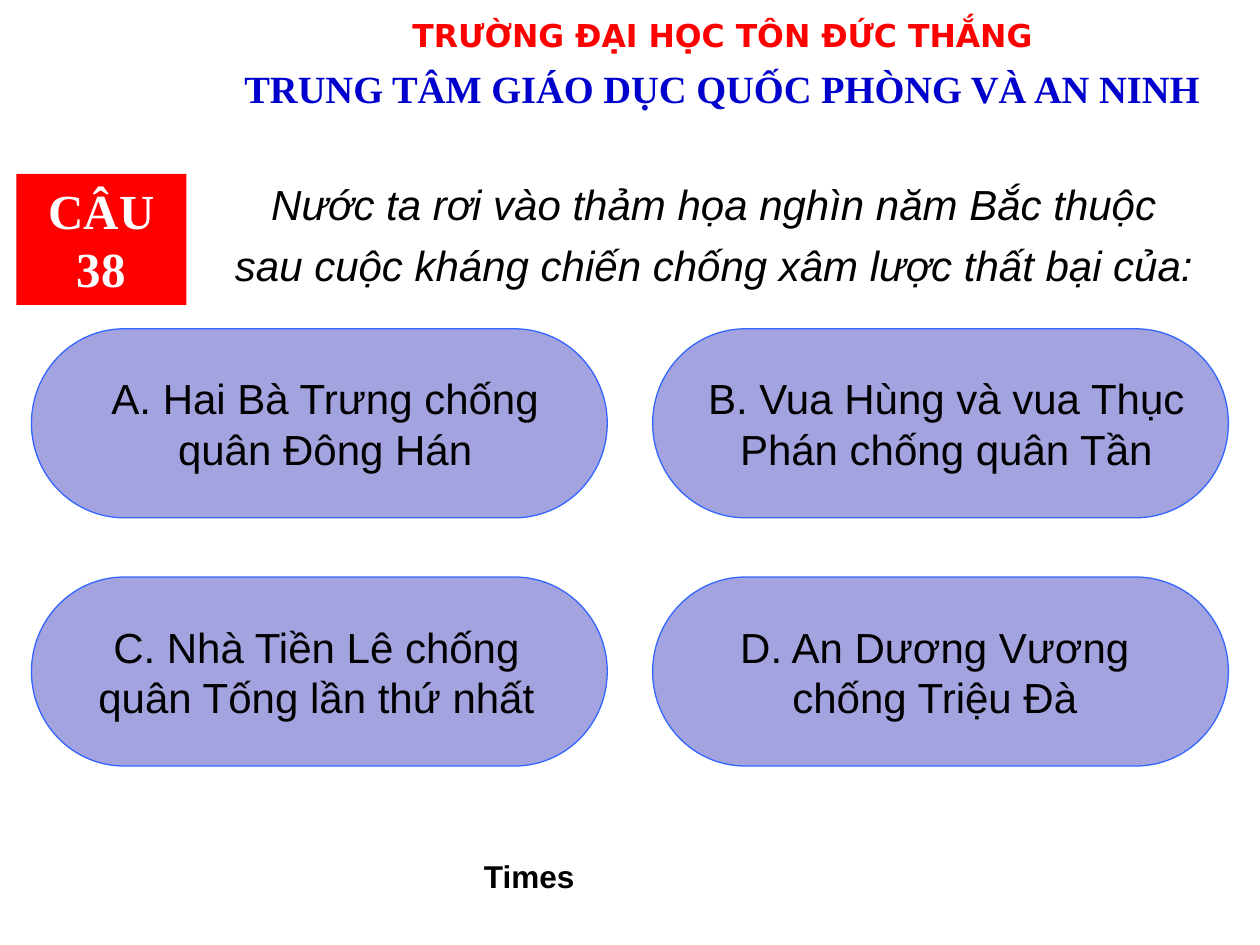
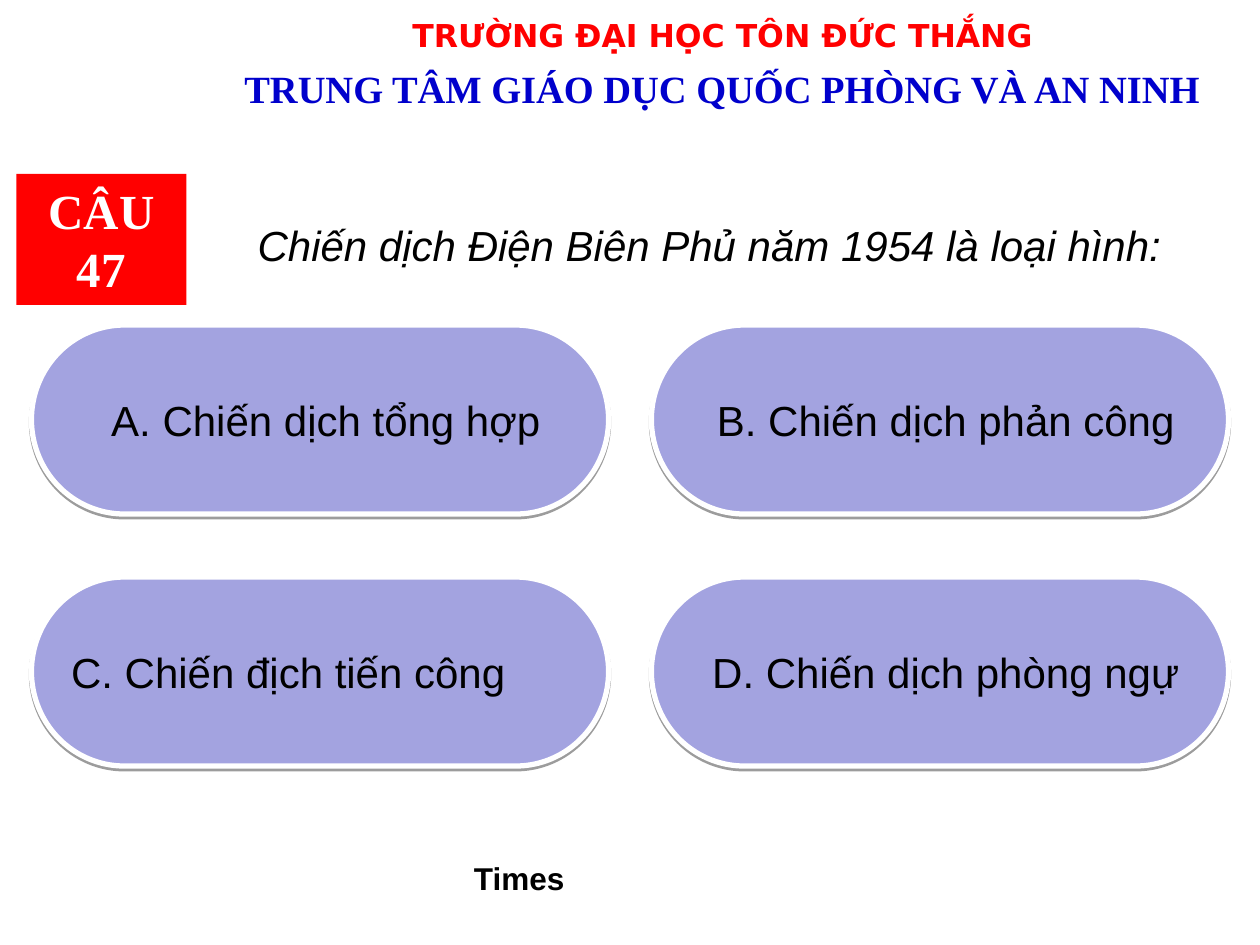
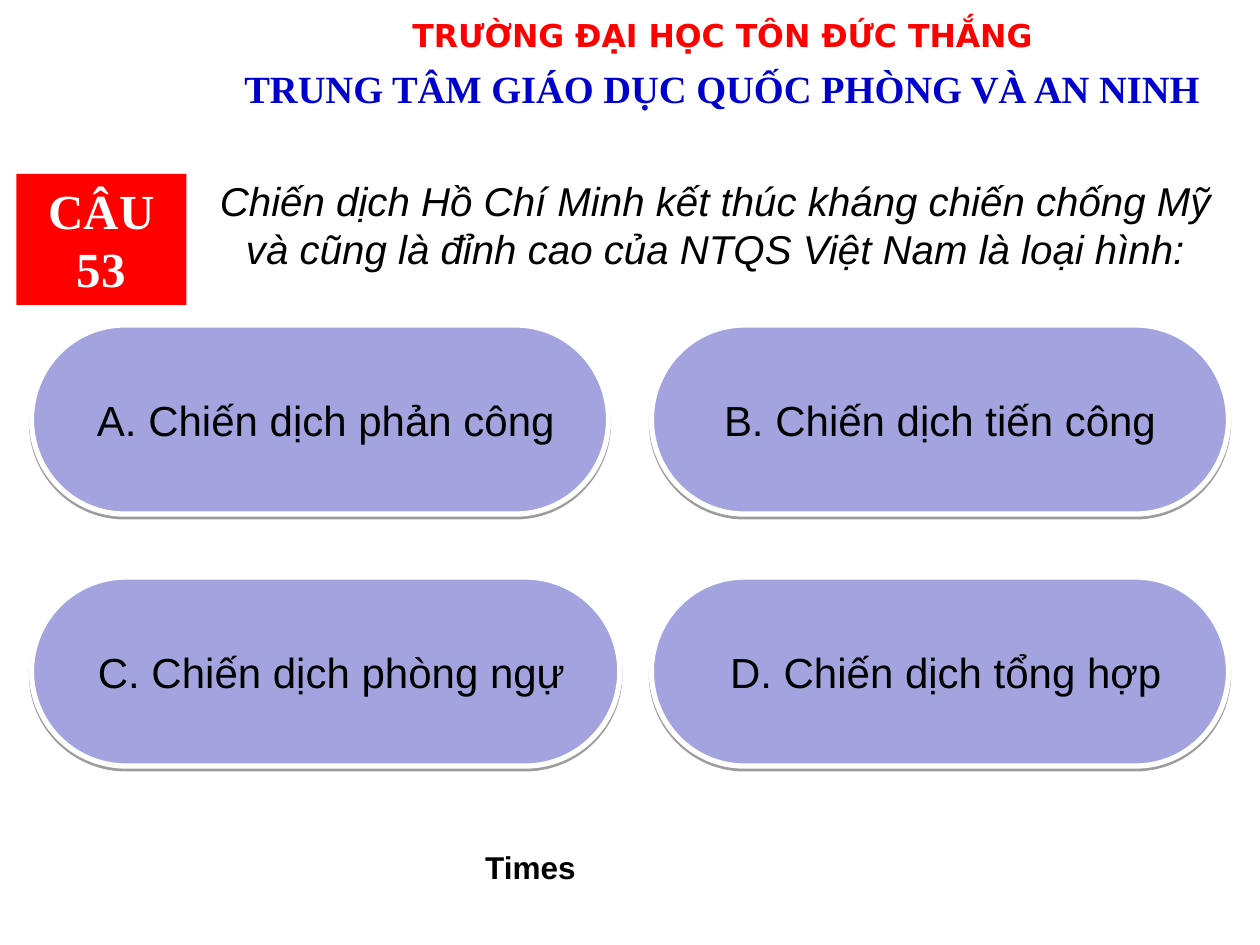
import pptx
import pptx.dml.color
import pptx.enum.shapes
import pptx.enum.text
import pptx.oxml
import pptx.oxml.ns
import pptx.util
from lxml import etree

Inches = pptx.util.Inches
Pt = pptx.util.Pt
Align = pptx.enum.text.PP_ALIGN
Kind = pptx.enum.shapes.MSO_SHAPE

# Colours and type styles
COLORS = {
    "red": "FF0000", "blue": "0000CC", "black": "000000", "white": "FFFFFF",
    "lilac": "A3A3E0", "edge": "3366FF",
}
STYLES = {
    "school": ({"name": "DejaVu Sans", "size": Pt(18), "bold": True}, "red"),
    "center": ({"name": "Times New Roman", "size": Pt(22), "bold": True}, "blue"),
    "ask": ({"name": "Arial", "size": Pt(24), "italic": True}, "black"),
    "long": ({"name": "Arial", "size": Pt(23), "italic": True}, "black"),
    "choice": ({"name": "Arial", "size": Pt(24)}, "black"),
    "number": ({"name": "Times New Roman", "size": Pt(28), "bold": True}, "white"),
    "timer": ({"name": "Arial", "size": Pt(18), "bold": True}, "black"),
}
NUDGE = 0.09  # extra inset that moves a centred label by half as much

# Two looks of the answer grid
PLAIN = {"lefts": (0.25, 5.18), "tops": (2.61, 4.58), "size": (4.57, 1.5),
         "line": ("edge", 0.75), "shadow": False}
RAISED = {"lefts": (0.25, 5.17), "tops": (2.58, 4.58), "size": (4.58, 1.5),
          "line": ("white", 3), "shadow": True}

# Each choice: lines of text, then how it differs from a centred label
QUIZ = [
    {"number": 38, "grid": PLAIN, "style": "ask", "box": (1.67, 1.37, 7.99, 0.99),
     "ask": ["Nước ta rơi vào thảm họa nghìn năm Bắc thuộc",
             "sau cuộc kháng chiến chống xâm lược thất bại của:"],
     "timer": (3.58, 6.75, 1.24, 0.4),
     "choices": [
         (["A. Hai Bà Trưng chống", "quân Đông Hán"], {"nudge": NUDGE}),
         (["B. Vua Hùng và vua Thục", "Phán chống quân Tần"], {"nudge": NUDGE}),
         (["C. Nhà Tiền Lê chống", "quân Tống lần thứ nhất"], {"nudge": -NUDGE / 2}),
         (["D. An Dương Vương", "chống Triệu Đà"], {"nudge": -NUDGE}),
     ]},
    {"number": 47, "grid": RAISED, "style": "ask", "box": (1.67, 1.69, 7.92, 0.5),
     "ask": ["Chiến dịch Điện Biên Phủ năm 1954 là loại hình:"],
     "timer": (3.58, 6.77, 1.08, 0.4),
     "choices": [
         (["A. Chiến dịch tổng hợp"], {"nudge": NUDGE}),
         (["B. Chiến dịch phản công"], {"nudge": NUDGE}),
         (["C. Chiến địch tiến công"], {"align": Align.LEFT}),
         (["D. Chiến dịch phòng ngự"], {"nudge": NUDGE}),
     ]},
    {"number": 53, "grid": RAISED, "style": "long", "box": (1.5, 1.35, 8.37, 0.87),
     "ask": ["Chiến dịch Hồ Chí Minh kết thúc kháng chiến chống Mỹ "
             "và cũng là đỉnh cao của NTQS Việt Nam là loại hình:"],
     "timer": (3.67, 6.68, 1.08, 0.4),
     "choices": [
         (["A. Chiến dịch phản công"], {"nudge": NUDGE}),
         (["B. Chiến dịch tiến công"], {}),
         (["C. Chiến dịch phòng ngự"], {"nudge": NUDGE, "width": 4.67}),
         (["D. Chiến dịch tổng hợp"], {"nudge": NUDGE}),
     ]},
]


def color(name):
    return pptx.dml.color.RGBColor.from_string(COLORS[name])


def write(shape, lines, style, wrap=True, align=Align.CENTER, gap=0,
          anchor=pptx.enum.text.MSO_ANCHOR.TOP, nudge=0):
    """Fill a shape with paragraphs in one type style."""
    frame = shape.text_frame
    layout = {
        "word_wrap": wrap, "vertical_anchor": anchor,
        "margin_left": Inches(0.1 + max(nudge, 0)),
        "margin_right": Inches(0.1 + max(-nudge, 0)),
        "margin_top": Inches(0.05), "margin_bottom": Inches(0.05),
    }
    for key, value in layout.items():
        setattr(frame, key, value)
    font, ink = STYLES[style]
    for index, line in enumerate(lines):
        para = frame.paragraphs[0] if index == 0 else frame.add_paragraph()
        para.alignment = align
        if index:
            para.space_before = Pt(gap)
        run = para.add_run()
        run.text = line
        for key, value in font.items():
            setattr(run.font, key, value)
        run.font.color.rgb = color(ink)


def label(slide, box, lines, style, **options):
    shape = slide.shapes.add_textbox(*map(Inches, box))
    write(shape, lines, style, **options)


def block(slide, kind, box, fill, line=None):
    """Add a filled shape, with an outline if line is (colour, points)."""
    shape = slide.shapes.add_shape(kind, *map(Inches, box))
    shape.shadow.inherit = False
    shape.fill.solid()
    shape.fill.fore_color.rgb = color(fill)
    if line:
        shape.line.color.rgb = color(line[0])
        shape.line.width = Pt(line[1])
    else:
        shape.line.fill.background()
    return shape


def lift(shape):
    """Cast a thin shadow straight down."""
    qn = pptx.oxml.ns.qn
    effects = shape.element.spPr.find(qn("a:effectLst"))
    cast = etree.SubElement(effects, qn("a:outerShdw"), blurRad="0",
                            dist=str(Pt(1.6)), dir="5400000", rotWithShape="0")
    tint = etree.SubElement(cast, qn("a:srgbClr"), val=COLORS["black"])
    etree.SubElement(tint, qn("a:alpha"), val="38000")


def header(slide):
    label(slide, (2.03, 0.08, 7.41, 0.34), ["TRƯỜNG ĐẠI HỌC TÔN ĐỨC THẮNG"],
          "school", wrap=False)
    label(slide, (1.73, 0.47, 8, 0.32), ["TRUNG TÂM GIÁO DỤC QUỐC PHÒNG VÀ AN NINH"],
          "center", wrap=False)


def answers(slide, grid, choices):
    """Lay the four choices out in two columns and two rows."""
    for index, (lines, extra) in enumerate(choices):
        row, col = divmod(index, 2)
        width, height = grid["size"]
        box = (grid["lefts"][col], grid["tops"][row], extra.get("width", width), height)
        pill = block(slide, Kind.FLOWCHART_TERMINATOR, box, "lilac", grid["line"])
        if grid["shadow"]:
            lift(pill)
        write(pill, lines, "choice", wrap=False,
              anchor=pptx.enum.text.MSO_ANCHOR.MIDDLE,
              align=extra.get("align", Align.CENTER), nudge=extra.get("nudge", 0))


def main():
    deck = pptx.Presentation()
    deck.slide_width, deck.slide_height = Inches(10), Inches(7.5)
    for item in QUIZ:
        slide = deck.slides.add_slide(deck.slide_layouts[6])
        header(slide)
        # Question and its number
        label(slide, item["box"], item["ask"], item["style"], gap=6)
        badge = block(slide, Kind.RECTANGLE, (0.13, 1.38, 1.35, 1.04), "red")
        write(badge, [f"CÂU {item['number']}"], "number")
        # Choices and timer
        answers(slide, item["grid"], item["choices"])
        label(slide, item["timer"], ["Times"], "timer")
    deck.save("out.pptx")


if __name__ == "__main__":
    main()
